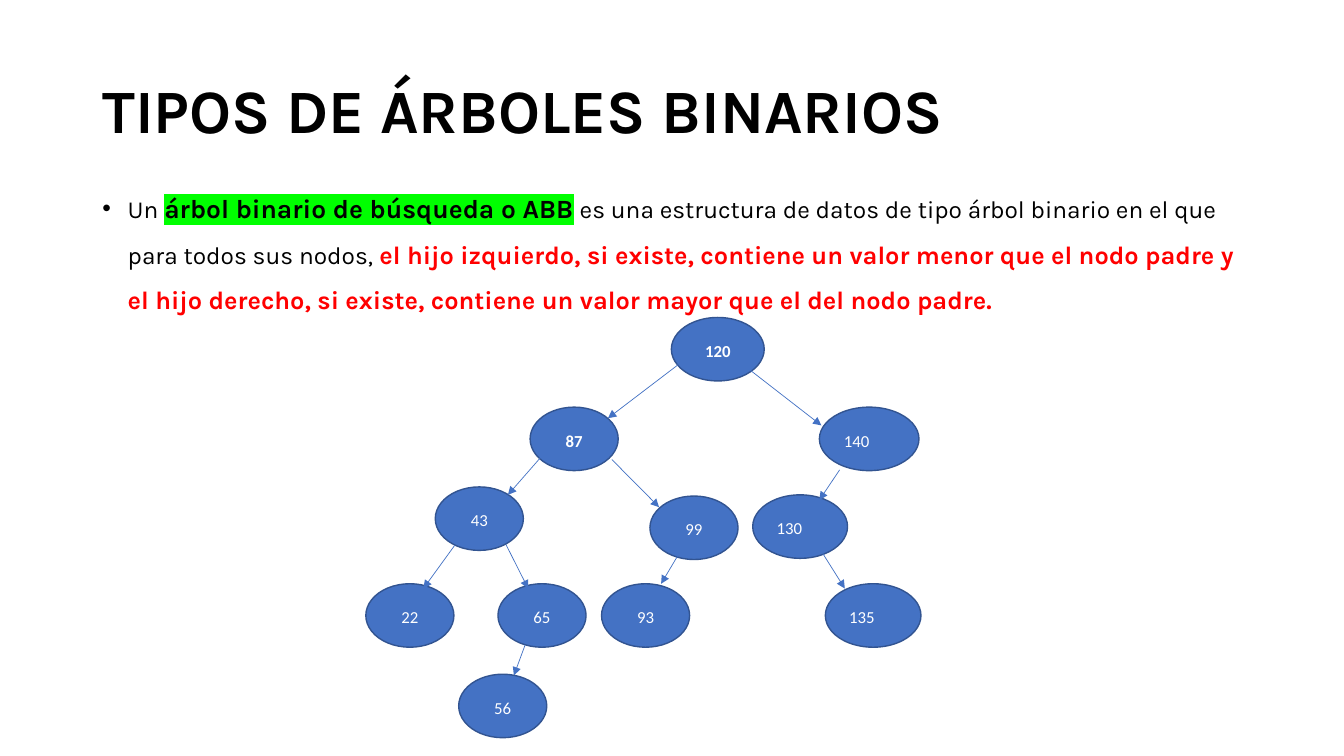
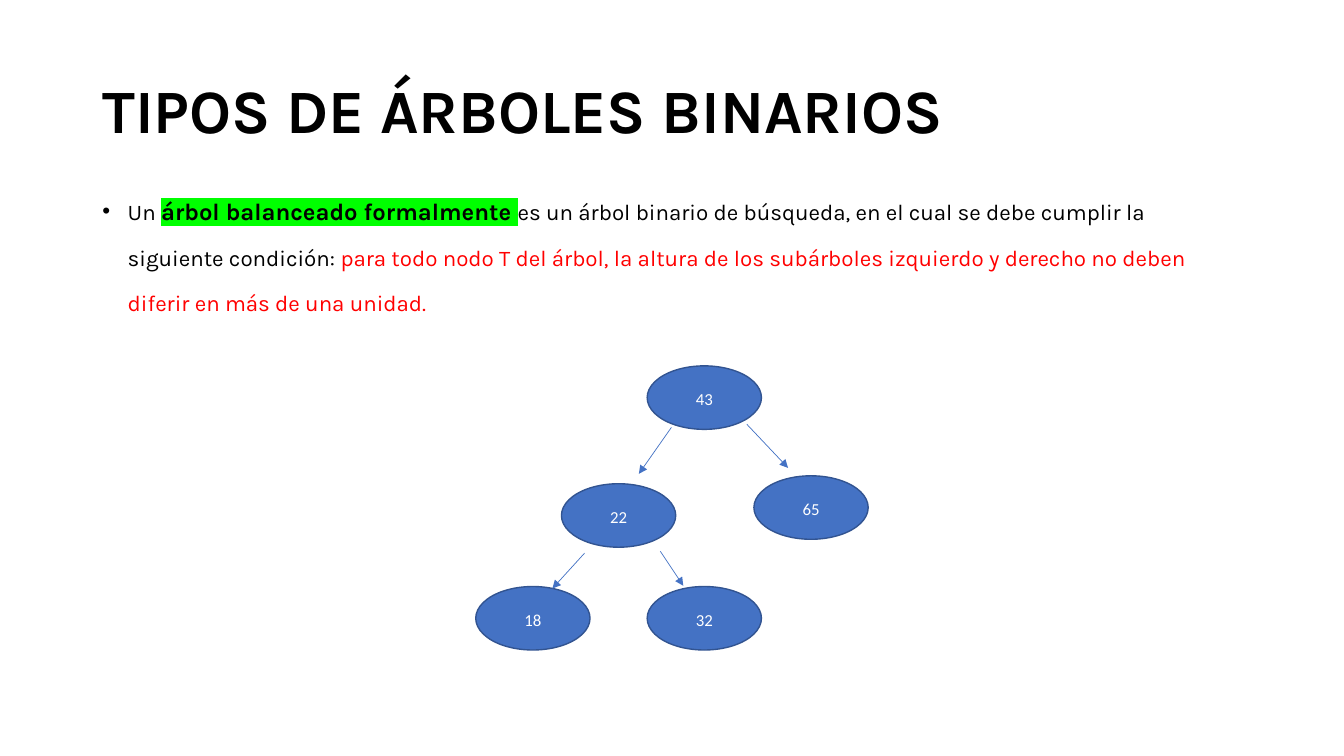
from lxml import etree
from pptx import Presentation
from pptx.dml.color import RGBColor
from pptx.enum.shapes import MSO_CONNECTOR, MSO_SHAPE
from pptx.enum.text import MSO_ANCHOR, PP_ALIGN
from pptx.oxml.ns import qn
from pptx.util import Cm, Pt

COLORS = {
    "text": "000000",
    "alert": "FF0000",
    "highlight": "00FF00",
    "node": "4472C4",
    "outline": "325491",
    "label": "FFFFFF",
}
TITLE = "TIPOS DE ÁRBOLES BINARIOS"


def rgb(name):
    return RGBColor.from_string(COLORS[name])


class TreeDeck:
    """Holds the shared style and the current slide."""

    text_font, node_font = "Karla", "Calibri"
    text_left, text_width, text_height = 2.33, 29.21, 3.68
    node_height = 1.6

    def __init__(self):
        self.presentation = Presentation()
        self.presentation.slide_width = Cm(33.87)
        self.presentation.slide_height = Cm(19.05)
        self.slide = None

    def add_slide(self):
        self.slide = self.presentation.slides.add_slide(self.presentation.slide_layouts[6])
        self.add_title()

    def add_text_box(self, top, anchor, line_spacing):
        box = self.slide.shapes.add_textbox(
            Cm(self.text_left), Cm(top), Cm(self.text_width), Cm(self.text_height))
        frame = box.text_frame
        frame.word_wrap = True
        frame.vertical_anchor = anchor
        paragraph = frame.paragraphs[0]
        paragraph.line_spacing = line_spacing
        return paragraph

    def add_title(self):
        paragraph = self.add_text_box(1.01, MSO_ANCHOR.MIDDLE, 0.9)
        paragraph.text = TITLE
        font = paragraph.font
        font.name, font.size, font.bold = self.text_font, Pt(44), True
        font.color.rgb = rgb("text")

    def add_definition(self, line_spacing, runs):
        """Each run is (text, size, bold, color, highlighted)."""
        paragraph = self.add_text_box(4.32, MSO_ANCHOR.TOP, line_spacing)
        properties = paragraph._p.get_or_add_pPr()
        properties.set("marL", str(Cm(0.64)))
        properties.set("indent", str(Cm(-0.64)))
        etree.SubElement(properties, qn("a:buFont"), typeface="Arial")
        etree.SubElement(properties, qn("a:buChar"), char="•")
        paragraph.font.name = self.text_font
        for text, size, bold, color, highlighted in runs:
            run = paragraph.add_run()
            run.text = text
            run.font.size, run.font.bold = Pt(size), bold
            run.font.color.rgb = rgb(color)
            if highlighted:
                highlight = etree.SubElement(run.font._element, qn("a:highlight"))
                etree.SubElement(highlight, qn("a:srgbClr"), val=COLORS["highlight"])

    def add_node(self, value, left, top, width, align=PP_ALIGN.CENTER, bold=False):
        shape = self.slide.shapes.add_shape(
            MSO_SHAPE.OVAL, Cm(left), Cm(top), Cm(width), Cm(self.node_height))
        shape.shadow.inherit = False
        shape.fill.solid()
        shape.fill.fore_color.rgb = rgb("node")
        shape.line.color.rgb = rgb("outline")
        shape.line.width = Pt(1)
        shape.text_frame.vertical_anchor = MSO_ANCHOR.MIDDLE
        paragraph = shape.text_frame.paragraphs[0]
        paragraph.text = str(value)
        paragraph.alignment = align
        paragraph.line_spacing, paragraph.space_after = 1.15, Pt(10)
        font = paragraph.font
        font.name, font.size, font.bold = self.node_font, Pt(12), bold
        font.color.rgb = rgb("label")

    def add_arrow(self, *ends):
        connector = self.slide.shapes.add_connector(
            MSO_CONNECTOR.STRAIGHT, *(Cm(value) for value in ends))
        connector.line.color.rgb = rgb("node")
        connector.line.width = Pt(0.5)
        etree.SubElement(connector.line._get_or_add_ln(), qn("a:tailEnd"), type="triangle")
        etree.SubElement(connector._element.spPr, qn("a:effectLst"))

    def add_tree(self, nodes, arrows):
        for node in nodes:
            self.add_node(*node)
        for arrow in arrows:
            self.add_arrow(*arrow)


def add_search_tree_slide(deck):
    deck.add_slide()
    deck.add_definition(1.5, [
        ("Un ", 17.5, False, "text", False),
        ("árbol binario de búsqueda o ABB", 18.8, True, "text", True),
        (" es una estructura de datos de tipo árbol binario en el que para todos sus nodos, ",
         17.5, False, "text", False),
        ("el hijo izquierdo, si existe, contiene un valor menor que el nodo padre y el hijo "
         "derecho, si existe, contiene un valor mayor que el del nodo padre.",
         18.1, True, "alert", False),
    ])
    width = 2.22
    level_2, level_4 = 10.26, 14.71
    center, left = PP_ALIGN.CENTER, PP_ALIGN.LEFT
    nodes = [
        (120, 16.92, 8, 2.34, center, True),
        (87, 13.36, level_2, width, center, True),
        (140, 20.65, level_2, 2.51, left),
        (43, 10.97, 12.27, width),
        (99, 16.38, 12.5, width),
        (130, 18.97, 12.47, 2.39, left),
        (22, 9.22, level_4, width),
        (65, 12.55, level_4, width),
        (93, 15.16, level_4, width),
        (135, 20.8, level_4, 2.41, left),
        (56, 11.56, 16.99, width),
    ]
    arrows = [
        (17.09, 9.19, 15.32, 10.54),   # 120 to 87
        (18.87, 9.3, 20.7, 10.72),     # 120 to 140
        (13.64, 11.51, 12.8, 12.47),   # 87 to 43
        (15.42, 11.58, 16.61, 12.78),  # 87 to 99
        (21.16, 11.84, 20.65, 12.6),   # 140 to 130
        (11.46, 13.74, 10.67, 14.83),  # 43 to 22
        (12.75, 13.72, 13.31, 14.83),  # 43 to 65
        (17.07, 14.02, 16.66, 14.71),  # 99 to 93
        (20.73, 13.94, 21.29, 14.83),  # 130 to 135
        (13.23, 16.26, 12.95, 17.02),  # 65 to 56
    ]
    deck.add_tree(nodes, arrows)


def add_balanced_tree_slide(deck):
    deck.add_slide()
    deck.add_definition(1.7, [
        ("Un ", 16, False, "text", False),
        ("árbol balanceado formalmente ", 17, True, "text", True),
        ("es un árbol binario de búsqueda, en el cual se debe cumplir la siguiente condición: ",
         16, False, "text", False),
        ("para todo nodo T del árbol, la altura de los subárboles izquierdo y derecho no deben "
         "diferir en más de una unidad.", 16, False, "alert", False),
    ])
    width, level_3 = 2.88, 14.78
    nodes = [
        (43, 16.31, 9.22, width),
        (22, 14.15, 12.19, width),
        (65, 19, 11.99, width),
        (18, 11.99, level_3, width),
        (32, 16.31, level_3, width),
    ]
    arrows = [
        (16.92, 10.77, 16.1, 11.94),   # 43 to 22
        (18.82, 10.69, 19.86, 11.79),  # 43 to 65
        (14.73, 13.94, 13.92, 14.83),  # 22 to 18
        (16.64, 13.89, 17.22, 14.76),  # 22 to 32
    ]
    deck.add_tree(nodes, arrows)


def main():
    deck = TreeDeck()
    add_search_tree_slide(deck)
    add_balanced_tree_slide(deck)
    deck.presentation.save("out.pptx")


if __name__ == "__main__":
    main()
